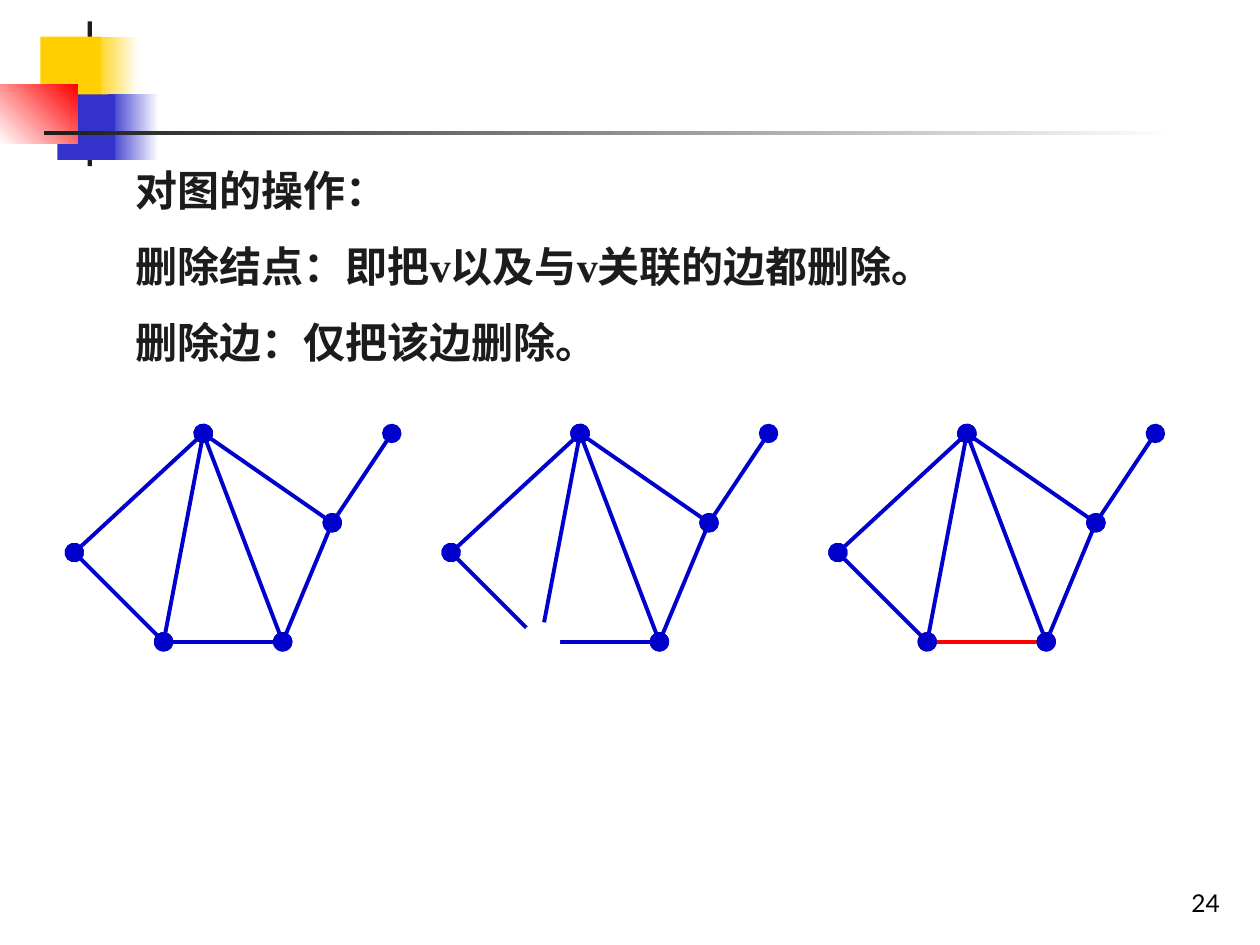
from lxml import etree
from pptx import Presentation, util as u
from pptx.dml.color import RGBColor
from pptx.enum import shapes, text
from pptx.oxml import ns

WIDTH, HEIGHT = u.Inches(10), u.Inches(7.5)
UNIT = u.Mm(2)
GRAPH_TOP = 45.87
INK, EDGE_BLUE, RED, WHITE = "1C1C1C", "0000CC", "FF0000", "FFFFFF"
YELLOW, INDIGO = "FFCF01", "3333CC"

# Node positions in grid units: columns from the left node, rows from the apex
NODES = {"left": (0, 12), "apex": (13, 0), "base_left": (9, 21),
         "base_right": (21, 21), "right": (26, 9), "tip": (32, 0)}
BASE_EDGE = ("base_left", "base_right")
EDGES = [BASE_EDGE, ("apex", "left"), ("apex", "base_left"),
         ("apex", "base_right"), ("apex", "right"), ("left", "base_left"),
         ("base_right", "right"), ("right", "tip")]

# Left, top, width, height in percent of the slide; colours; gradient angle
ORNAMENTS = [
    ((7.4, 3.87, 3.6, 6.93), (YELLOW, WHITE), 0),
    ((8.6, 10, 4, 6.93), (INDIGO, WHITE), 0),
    ((6.95, 2.27, 0.35, 15.33), (INK,), 0),
    ((3.2, 3.87, 4.8, 6.93), (YELLOW,), 0),
    ((4.55, 10, 4.6, 6.93), (INDIGO,), 0),
    ((0, 8.93, 6.15, 6.27), (WHITE, RED), 45),
    ((3.5, 13.87, 90, 0.4), (INK, WHITE), 0),
]


def rgb(code):
    return RGBColor.from_string(code)


def share(left, top, width, height):
    """Turn percentages of the slide into lengths."""
    return [round(part * whole / 100) for part, whole in
            zip((left, top, width, height), (WIDTH, HEIGHT) * 2)]


def add_filled(slide, kind, place, colours, angle=0):
    """One colour gives a plain fill, two give a gradient."""
    shape = slide.shapes.add_shape(kind, *place)
    shape.shadow.inherit = False
    shape.line.fill.background()
    if len(colours) == 1:
        shape.fill.solid()
        shape.fill.fore_color.rgb = rgb(colours[0])
        return
    shape.fill.gradient()
    shape.fill.gradient_angle = angle
    for position, (stop, colour) in enumerate(zip(shape.fill.gradient_stops, colours)):
        stop.position = position
        stop.color.rgb = rgb(colour)


def add_text(slide, place, lines, colour, font, paragraph_format, frame_format):
    frame = slide.shapes.add_textbox(*share(*place)).text_frame
    for name, value in frame_format.items():
        setattr(frame, name, value)
    frame.text = "\n".join(lines)
    for paragraph in frame.paragraphs:
        for name, value in paragraph_format.items():
            setattr(paragraph, name, value)
        for run in paragraph.runs:
            run.font.color.rgb = rgb(colour)
            for name, value in font.items():
                setattr(run.font, name, value)


def add_edge(slide, start, end, colour):
    """Draw a line with a round node at each end."""
    edge = slide.shapes.add_connector(shapes.MSO_CONNECTOR.STRAIGHT, *start, *end)
    edge.line.color.rgb = rgb(colour)
    edge.line.width = u.Pt(2.25)
    outline = edge.line._get_or_add_ln()
    for tag in ("a:headEnd", "a:tailEnd"):
        etree.SubElement(outline, ns.qn(tag), type="oval", w="lg", len="lg")
    etree.SubElement(edge._element.spPr, ns.qn("a:effectLst"))


def node_at(left, name):
    column, row = NODES[name]
    return (round(left * WIDTH / 100) + column * UNIT,
            round(GRAPH_TOP * HEIGHT / 100) + row * UNIT)


def add_graph(slide, left, base_colour=EDGE_BLUE):
    for edge in EDGES:
        colour = base_colour if edge == BASE_EDGE else EDGE_BLUE
        add_edge(slide, *(node_at(left, name) for name in edge), colour)


def erase_node(slide, left, name):
    """Cover a node and the ends of its edges."""
    x, y = node_at(left, name)
    place = (x - 2 * UNIT, y - 2 * UNIT, 4 * UNIT, 4 * UNIT)
    add_filled(slide, shapes.MSO_SHAPE.OVAL, place, (WHITE,))


def main():
    deck = Presentation()
    deck.slide_width, deck.slide_height = WIDTH, HEIGHT
    slide = deck.slides.add_slide(deck.slide_layouts[6])

    for place, colours, angle in ORNAMENTS:
        add_filled(slide, shapes.MSO_SHAPE.RECTANGLE, share(*place), colours, angle)

    add_text(slide, (77, 91.07, 20.8, 6.67), ["24"], "000000",
             {"name": "Lato", "size": u.Pt(14)},
             {"alignment": text.PP_ALIGN.RIGHT},
             {"word_wrap": True, "vertical_anchor": text.MSO_ANCHOR.BOTTOM})
    add_text(slide, (9.8, 14.13, 82.3, 25.33),
             ["对图的操作：", "删除结点：即把v以及与v关联的边都删除。", "删除边：仅把该边删除。"],
             INK, {"name": "Times New Roman", "size": u.Pt(24), "bold": True},
             {"line_spacing": 1.5},
             {"word_wrap": True, "auto_size": text.MSO_AUTO_SIZE.SHAPE_TO_FIT_TEXT})

    whole, node_removed, edge_removed = 5.9, 35.8, 66.5
    add_graph(slide, whole)
    add_graph(slide, node_removed)
    erase_node(slide, node_removed, "base_left")
    add_graph(slide, edge_removed, base_colour=RED)

    deck.save("out.pptx")


if __name__ == "__main__":
    main()
